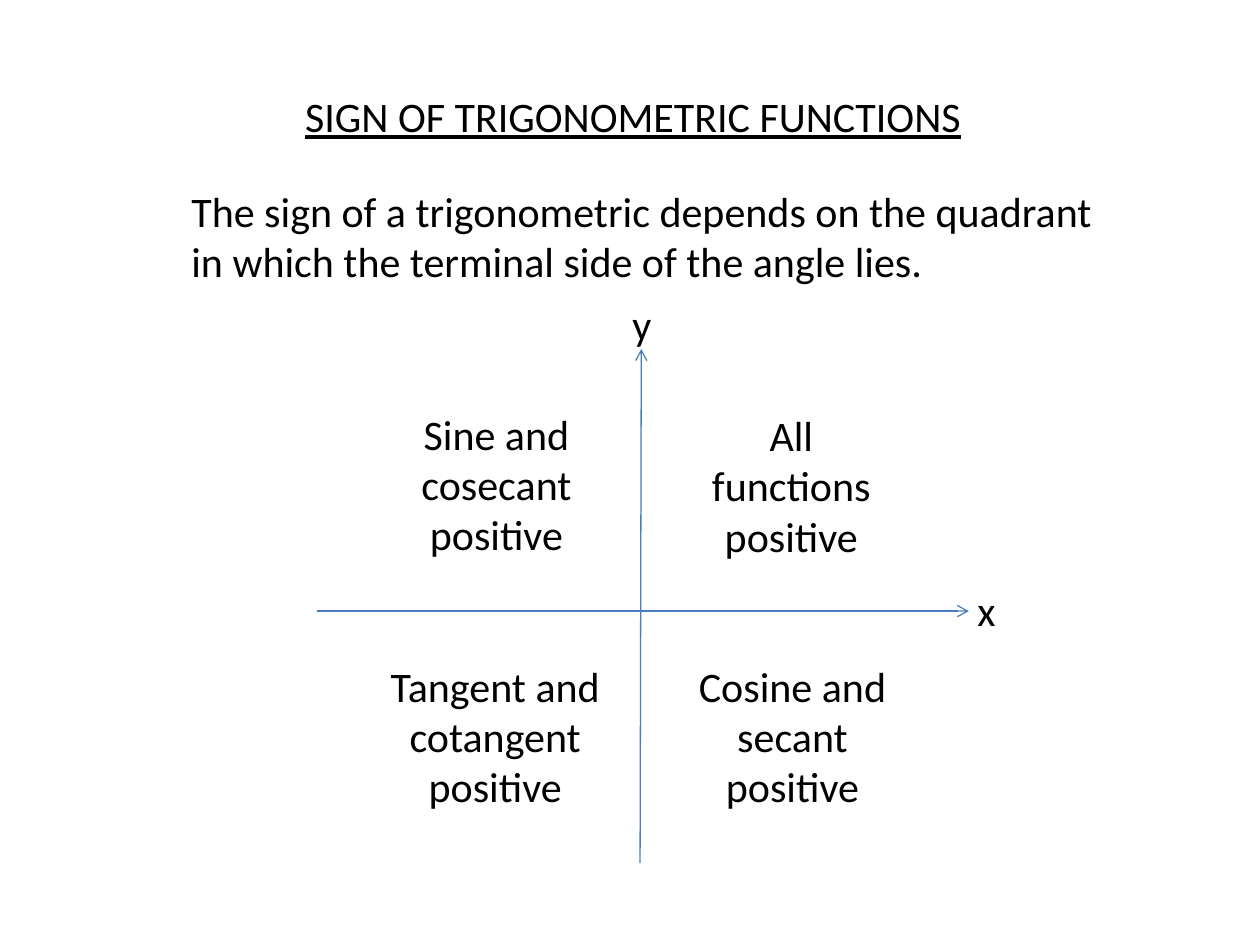
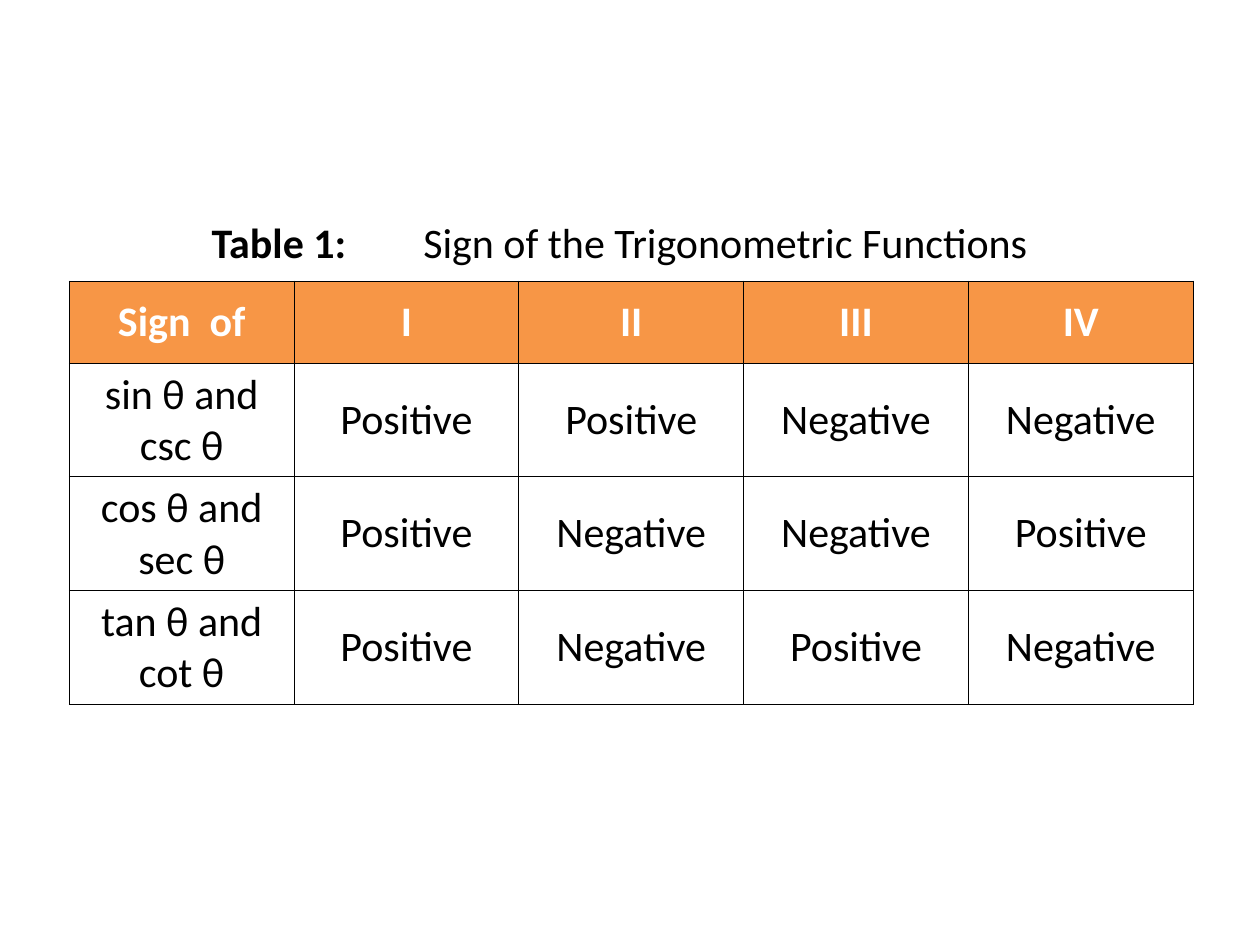
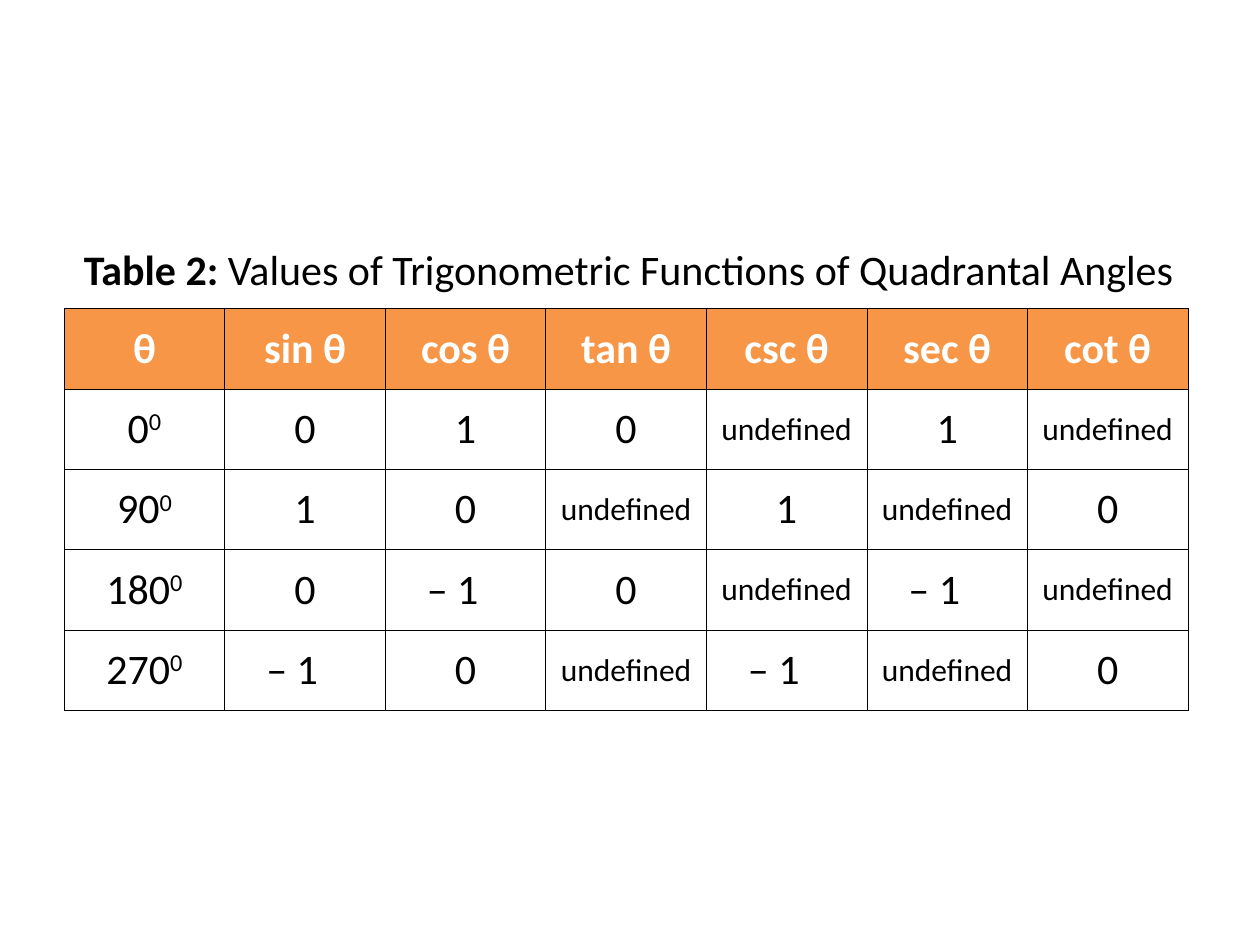
from pptx import Presentation
from pptx import util as u
from pptx.dml.color import RGBColor
from pptx.enum import shapes, text
from pptx.oxml.ns import qn
from lxml import etree

PX = 9144
BLACK = RGBColor(0x00, 0x00, 0x00)
WHITE = RGBColor(0xFF, 0xFF, 0xFF)
ORANGE = RGBColor(0xF7, 0x96, 0x46)
BLUE = RGBColor(0x4A, 0x7E, 0xBB)
LEFT, CENTER = text.PP_ALIGN.LEFT, text.PP_ALIGN.CENTER


def px(n):
    return u.Emu(n * PX)


class Deck:
    font, size, small = "Calibri", 24, 18
    border, axis_width = u.Pt(0.45), u.Pt(0.75)
    minus_inset = 33

    def __init__(self):
        self.prs = Presentation()
        self.prs.slide_width, self.prs.slide_height = px(1000), px(750)
        self.s = None

    def slide(self):
        self.s = self.prs.slides.add_slide(self.prs.slide_layouts[6])

    def run(self, p, words, size=None, color=BLACK, bold=False, underline=False, raised=False):
        r = p.add_run()
        r.text = words
        f = r.font
        f.name, f.size, f.bold = self.font, u.Pt(size or self.size), bold
        f.color.rgb = color
        if underline:
            f.underline = True
        if raised:
            r._r.get_or_add_rPr().set("baseline", "30000")

    def text(self, x, y, w, h, words="", align=CENTER, wrap=True, before=0, **style):
        tf = self.s.shapes.add_textbox(px(x), px(y), px(w), px(h)).text_frame
        tf.word_wrap = wrap
        p = tf.paragraphs[0]
        p.alignment = align
        p.space_before = u.Pt(before)
        if words:
            self.run(p, words, **style)
        return tf

    def caption(self, x, y, w, h, label, title, inset=None, tab=None):
        tf = self.text(x, y, w, h, before=6)
        p = tf.paragraphs[0]
        if tab:
            tf.margin_left = px(inset)
            p.alignment = LEFT
            tabs = etree.SubElement(p._p.get_or_add_pPr(), qn("a:tabLst"))
            etree.SubElement(tabs, qn("a:tab"), pos=str(px(tab)), algn="l")
        self.run(p, label + ("\t" if tab else " "), bold=True)
        self.run(p, title)

    def axis(self, x1, y1, x2, y2):
        c = self.s.shapes.add_connector(shapes.MSO_CONNECTOR.STRAIGHT, px(x1), px(y1), px(x2), px(y2))
        c.line.color.rgb = BLUE
        c.line.width = self.axis_width
        etree.SubElement(c.line._get_or_add_ln(), qn("a:tailEnd"), type="arrow")
        etree.SubElement(c._element.spPr, qn("a:effectLst"))

    def cell(self, cell, words, header):
        cell.vertical_anchor = text.MSO_ANCHOR.MIDDLE
        tcPr = cell._tc.get_or_add_tcPr()
        for side in ("lnL", "lnR", "lnT", "lnB"):
            ln = etree.SubElement(tcPr, qn(f"a:{side}"), w=str(self.border))
            fill = etree.SubElement(ln, qn("a:solidFill"))
            etree.SubElement(fill, qn("a:srgbClr"), val=str(BLACK))
        p = cell.text_frame.paragraphs[0]
        p.alignment = CENTER
        if header:
            cell.fill.solid()
            cell.fill.fore_color.rgb = ORANGE
            self.run(p, words, color=WHITE, bold=True)
            return
        cell.fill.background()
        if words.startswith("–"):
            p.alignment = LEFT
            cell.margin_left = px(self.minus_inset)
        base, mark, power = words.partition("^")
        self.run(p, base, size=self.small if base == "undefined" else None)
        if mark:
            self.run(p, power, raised=True)

    def table(self, x, y, w, h, rows, header_h=None):
        tbl = self.s.shapes.add_table(len(rows), len(rows[0]), px(x), px(y), px(w), px(h)).table
        tbl.first_row = tbl.horz_banding = False
        if header_h:
            for row in tbl.rows:
                row.height = px(h - header_h) // (len(rows) - 1)
            tbl.rows[0].height = px(header_h)
        for i, row in enumerate(rows):
            for j, words in enumerate(row):
                self.cell(tbl.cell(i, j), words, header=i == 0)


def quadrants(d):
    d.slide()
    d.text(219, 67, 567, 50, "SIGN OF TRIGONOMETRIC FUNCTIONS", before=6, underline=True)
    d.text(142, 142, 742, 92, "The sign of a trigonometric depends on the quadrant "
           "in which the terminal side of the angle lies.", align=LEFT, before=6)
    d.axis(508, 685, 509, 277)
    d.axis(252, 485, 769, 485)
    d.text(766, 459, 34, 50, "x", align=LEFT, wrap=False)
    d.text(492, 232, 35, 50, "y", align=LEFT, wrap=False)
    for x, y, w, words in (
        (549, 320, 158, "All functions positive"),
        (315, 319, 158, "Sine and cosecant positive"),
        (541, 519, 176, "Cosine and secant positive"),
        (289, 519, 208, "Tangent and cotangent positive"),
    ):
        d.text(x, y, w, 130, words)


def sign_table(d):
    pos, neg = "Positive", "Negative"
    d.slide()
    d.caption(108, 167, 767, 50, "Table 1:", "Sign of the Trigonometric Functions", inset=60, tab=168)
    d.table(55, 223, 892, 336, [
        ("Sign  of", "I", "II", "III", "IV"),
        ("sin θ and csc θ", pos, pos, neg, neg),
        ("cos θ and sec θ", pos, neg, neg, pos),
        ("tan θ and cot θ", pos, neg, pos, neg),
    ], header_h=65)


def quadrantal_table(d):
    und, minus = "undefined", "– 1"
    d.slide()
    d.caption(46, 188, 906, 45, "Table 2:", "Values of Trigonometric Functions of Quadrantal Angles")
    d.table(51, 245, 892, 319, [
        ("θ", *(f"{name} θ" for name in ("sin", "cos", "tan", "csc", "sec", "cot"))),
        ("0^0", "0", "1", "0", und, "1", und),
        ("90^0", "1", "0", und, "1", und, "0"),
        ("180^0", "0", minus, "0", und, minus, und),
        ("270^0", minus, "0", und, minus, und, "0"),
    ])


def main():
    d = Deck()
    quadrants(d)
    sign_table(d)
    quadrantal_table(d)
    d.prs.save("out.pptx")


if __name__ == "__main__":
    main()
